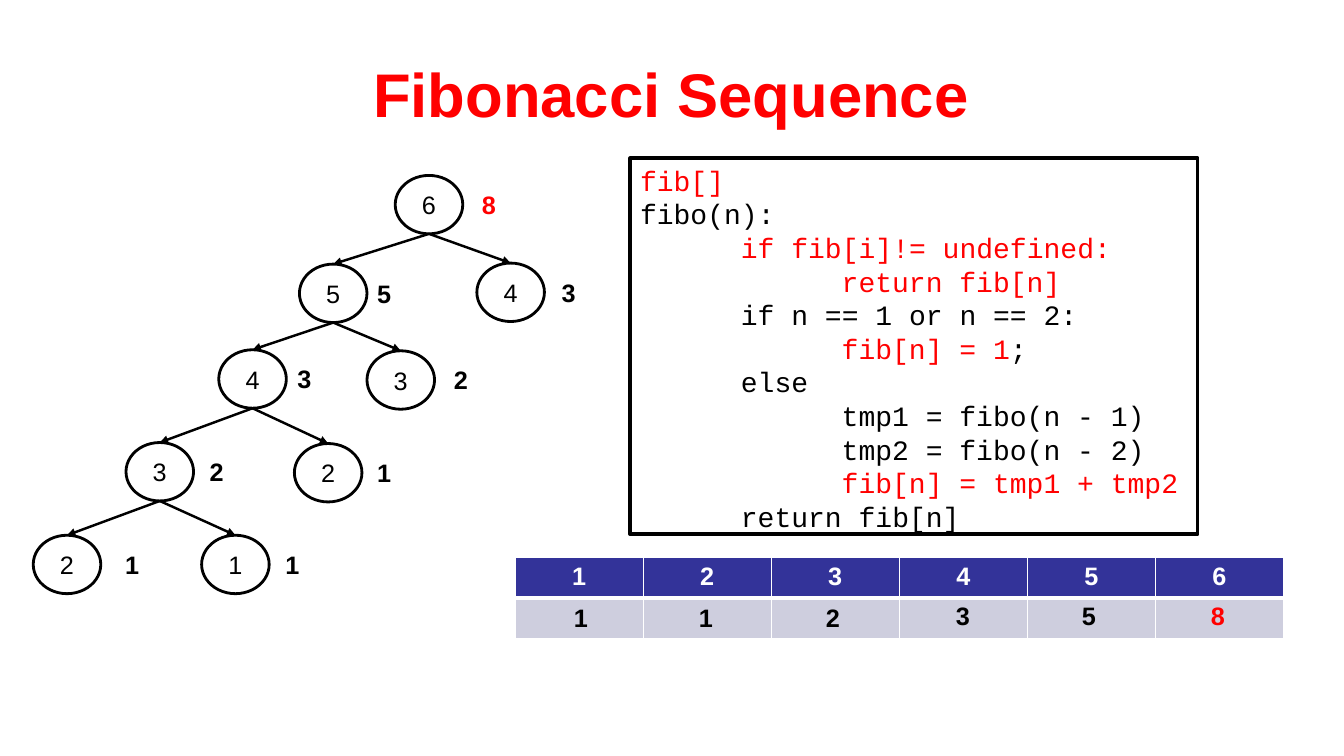
from lxml.etree import SubElement
from pptx import Presentation
from pptx.dml.color import RGBColor
from pptx.enum.shapes import MSO_CONNECTOR, MSO_SHAPE
from pptx.enum.text import MSO_ANCHOR, PP_ALIGN
from pptx.oxml.ns import qn
from pptx.util import Inches, Pt

BLACK = RGBColor(0x00, 0x00, 0x00)
WHITE = RGBColor(0xFF, 0xFF, 0xFF)
RED = RGBColor(0xFF, 0x00, 0x00)
NAVY = RGBColor(0x33, 0x33, 0x99)
LAVENDER = RGBColor(0xCE, 0xCE, 0xDE)

NODE_WIDTH, NODE_HEIGHT = 0.67, 0.58
VALUE_WIDTH, VALUE_HEIGHT = 0.54, 0.4
VALUE_DROP = 0.09

# key: (n, left, top, parent key, result, left of result)
CALLS = {
    "root": ("6", 3.92, 1.74, None, "8", 4.58),
    "L": ("5", 2.97, 2.62, "root", "5", 3.54),
    "R": ("4", 4.73, 2.61, "root", "3", 5.37),
    "LL": ("4", 2.17, 3.47, "L", "3", 2.75),
    "LR": ("3", 3.64, 3.48, "L", "2", 4.3),
    "LLL": ("3", 1.25, 4.39, "LL", "2", 1.88),
    "LLR": ("2", 2.92, 4.4, "LL", "1", 3.54),
    "LLLL": ("2", 0.33, 5.31, "LLL", "1", 1.04),
    "LLLR": ("1", 2, 5.31, "LLL", "1", 2.63),
}

# each line is a list of (text, colour) runs
CODE = [
    [("fib[] ", RED)],
    [("fibo(n):", BLACK)],
    [("\tif fib[i]!= undefined:", RED)],
    [("\t\treturn fib[n]", RED)],
    [("\tif n == 1 or n == 2:", BLACK)],
    [("\t\tfib[n] = 1", RED), (";", BLACK)],
    [("\telse", BLACK)],
    [("\t\ttmp1 = fibo(n - 1)", BLACK)],
    [("\t\ttmp2 = fibo(n - 2)", BLACK)],
    [("\t\tfib[n] = tmp1 + tmp2", RED)],
    [("\treturn fib[n]", BLACK)],
]

# (value, left, top) over the second table row
MEMO_VALUES = [("1", 5.49, 5.93), ("1", 6.73, 5.93), ("2", 7.99, 5.93),
               ("3", 9.28, 5.91), ("5", 10.53, 5.91), ("8", 11.81, 5.91)]


class SlideBuilder:
    """Holds the text style and the slide being drawn."""

    def __init__(self, slide, font="Arial", code_font="Courier New", size=18):
        """Keep the slide and its fonts."""
        self.shapes = slide.shapes
        self.font, self.code_font, self.size = font, code_font, size

    def style(self, run, color, size=None, bold=False, font=None):
        """Format one run."""
        run.font.name = font or self.font
        run.font.size = Pt(size or self.size)
        run.font.bold = bold
        run.font.color.rgb = color

    def centre(self, text_frame, text, color, size=None, bold=False):
        """Put one centred line into a text frame."""
        text_frame.text = text
        paragraph = text_frame.paragraphs[0]
        paragraph.alignment = PP_ALIGN.CENTER
        self.style(paragraph.runs[0], color, size, bold)

    def shape(self, kind, left, top, width, height, line_width):
        """Add a preset shape with a black outline and no fill."""
        shape = self.shapes.add_shape(
            kind, Inches(left), Inches(top), Inches(width), Inches(height))
        shape.shadow.inherit = False
        shape.fill.background()
        shape.line.color.rgb = BLACK
        shape.line.width = Pt(line_width)
        return shape

    def text_box(self, left, top, width, height):
        """Add an empty wrapping text box and return its frame."""
        box = self.shapes.add_textbox(
            Inches(left), Inches(top), Inches(width), Inches(height))
        box.text_frame.word_wrap = True
        return box.text_frame

    def title(self, text):
        """Add the slide title."""
        text_frame = self.text_box(0.66, 0.3, 12, 1.25)
        text_frame.vertical_anchor = MSO_ANCHOR.MIDDLE
        self.centre(text_frame, text, RED, 44, True)

    def node(self, text, left, top):
        """Add one call of the recursion tree."""
        shape = self.shape(MSO_SHAPE.OVAL, left, top, NODE_WIDTH, NODE_HEIGHT, 2)
        shape.fill.solid()
        shape.fill.fore_color.rgb = WHITE
        shape.text_frame.vertical_anchor = MSO_ANCHOR.MIDDLE
        self.centre(shape.text_frame, text, BLACK)

    def value(self, text, left, top):
        """Add a bold result; the final one, 8, is red."""
        text_frame = self.text_box(left, top, VALUE_WIDTH, VALUE_HEIGHT)
        self.centre(text_frame, text, RED if text == "8" else BLACK, bold=True)

    def arrow(self, start, end):
        """Add an arrow between two points."""
        connector = self.shapes.add_connector(
            MSO_CONNECTOR.STRAIGHT, *(Inches(length) for length in start + end))
        connector.line.color.rgb = BLACK
        connector.line.width = Pt(1.75)
        SubElement(connector.line._get_or_add_ln(), qn("a:tailEnd"), type="triangle")
        SubElement(connector._element.spPr, qn("a:effectLst"))

    def tree(self, calls):
        """Add the nodes, their results and the arrows from their parents."""
        for text, left, top, parent, result, result_left in calls.values():
            self.node(text, left, top)
            self.value(result, result_left, top + VALUE_DROP)
            if parent:
                parent_left, parent_top = calls[parent][1:3]
                self.arrow((parent_left + NODE_WIDTH / 2, parent_top + NODE_HEIGHT),
                           (left + NODE_WIDTH / 2, top))

    def code(self, lines):
        """Add the framed pseudocode with a tab stop at every inch."""
        self.shape(MSO_SHAPE.RECTANGLE, 6.25, 1.57, 5.63, 3.73, 2.5)
        text_frame = self.text_box(6.25, 1.57, 5.63, 3.8)
        for index, line in enumerate(lines):
            paragraph = text_frame.add_paragraph() if index else text_frame.paragraphs[0]
            paragraph.line_spacing = Pt(24)
            tab_list = SubElement(paragraph._p.get_or_add_pPr(), qn("a:tabLst"))
            for stop in (1, 2):
                SubElement(tab_list, qn("a:tab"), pos=str(Inches(stop)), algn="l")
            for text, color in line:
                run = paragraph.add_run()
                run.text = text
                self.style(run, color, 20, font=self.code_font)

    def cell(self, cell, color, bottom_width):
        """Give a table cell white borders and a fill."""
        properties = cell._tc.get_or_add_tcPr()
        for side, width in (("L", 1), ("R", 1), ("T", 1), ("B", bottom_width)):
            border = SubElement(properties, qn(f"a:ln{side}"), w=str(Pt(width)))
            fill = SubElement(border, qn("a:solidFill"))
            SubElement(fill, qn("a:srgbClr"), val=str(WHITE))
        cell.fill.solid()
        cell.fill.fore_color.rgb = color

    def memo_table(self, values):
        """Add the table of n with the stored values over its second row."""
        count = len(values)
        table = self.shapes.add_table(
            2, count, Inches(5.11), Inches(5.53), Inches(1.27 * count), Inches(0.8)).table
        for column in range(count):
            header = table.cell(0, column)
            self.cell(header, NAVY, 3)
            self.cell(table.cell(1, column), LAVENDER, 1)
            self.centre(header.text_frame, str(column + 1), WHITE, bold=True)
        for value in values:
            self.value(*value)


def main():
    """Build and save the slide."""
    presentation = Presentation()
    presentation.slide_width, presentation.slide_height = Inches(13.33), Inches(7.5)
    builder = SlideBuilder(presentation.slides.add_slide(presentation.slide_layouts[6]))
    builder.title("Fibonacci Sequence")
    builder.tree(CALLS)
    builder.code(CODE)
    builder.memo_table(MEMO_VALUES)
    presentation.save("out.pptx")


main()
